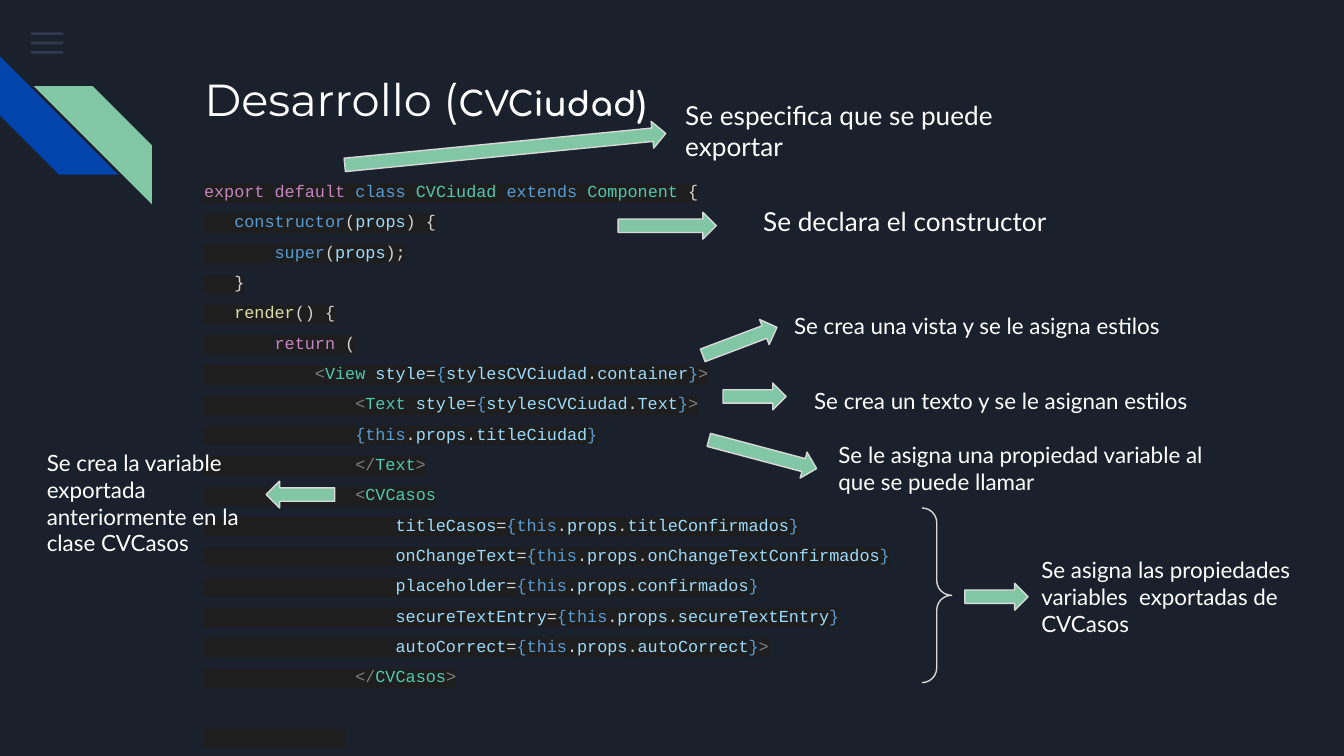
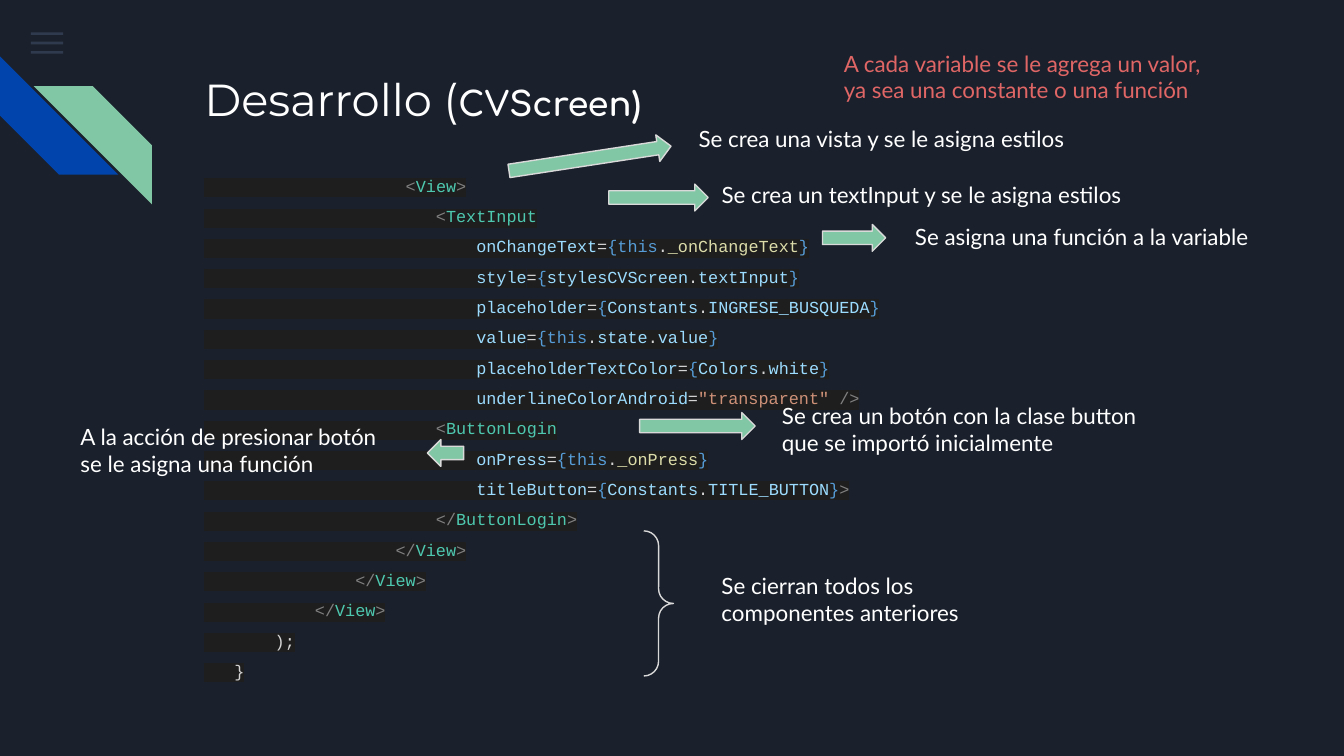
from itertools import groupby

from lxml import etree
from pptx import Presentation
from pptx import util as u
from pptx.dml.color import RGBColor
from pptx.enum import shapes, text
from pptx.oxml import ns

NIGHT = RGBColor(0x1B, 0x21, 0x2C)
SLATE = RGBColor(0x55, 0x68, 0x8B)
BLUE = RGBColor(0x01, 0x45, 0xAC)
GREEN = RGBColor(0x82, 0xC7, 0xA5)
SILVER = RGBColor(0xD9, 0xD9, 0xD9)
WHITE = RGBColor(0xFF, 0xFF, 0xFF)
CORAL = RGBColor(0xE0, 0x66, 0x66)
CODE_PLAIN = RGBColor(0xD4, 0xD4, 0xD4)
CODE_FLOW = RGBColor(0xC5, 0x86, 0xC0)
CODE_KEYWORD = RGBColor(0x56, 0x9C, 0xD6)
CODE_CLASS = RGBColor(0x4E, 0xC9, 0xB0)
CODE_NAME = RGBColor(0x9C, 0xDC, 0xFE)
CODE_FUNCTION = RGBColor(0xDC, 0xDC, 0xAA)
CODE_STRING = RGBColor(0xCE, 0x91, 0x78)
CODE_ANGLE = RGBColor(0x80, 0x80, 0x80)
CODE_BACK = RGBColor(0x1E, 0x1E, 0x1E)

WORD_COLORS = {
    word: color
    for color, words in (
        (CODE_FLOW, "export default return"),
        (CODE_KEYWORD, "class extends constructor super this"),
        (CODE_CLASS, "CVCiudad Component"),
        (CODE_FUNCTION, "render _onChangeText _onPress"),
        (CODE_STRING, '"transparent"'),
    )
    for word in words.split()
}

CELL = u.Inches(0.1)
FRAME_FORMAT = {
    "word_wrap": True,
    "auto_size": text.MSO_AUTO_SIZE.NONE,
    "vertical_anchor": text.MSO_ANCHOR.TOP,
    "margin_left": CELL,
    "margin_right": CELL,
    "margin_top": CELL,
    "margin_bottom": CELL,
}

CIUDAD_CODE = """\
export default class CVCiudad extends Component {
   constructor(props) {
       super(props);
   }
   render() {
       return (
           <View style={stylesCVCiudad.container}>
               <Text style={stylesCVCiudad.Text}>
               {this.props.titleCiudad}
               </Text>
               <CVCasos
                   titleCasos={this.props.titleConfirmados}
                   onChangeText={this.props.onChangeTextConfirmados}
                   placeholder={this.props.confirmados}
                   secureTextEntry={this.props.secureTextEntry}
                   autoCorrect={this.props.autoCorrect}>
               </CVCasos>"""

SCREEN_CODE = """\
                    <View>
                       <TextInput
                           onChangeText={this._onChangeText}
                           style={stylesCVScreen.textInput}
                           placeholder={Constants.INGRESE_BUSQUEDA}
                           value={this.state.value}
                           placeholderTextColor={Colors.white}
                           underlineColorAndroid="transparent" />
                       <ButtonLogin
                           onPress={this._onPress}
                           titleButton={Constants.TITLE_BUTTON}>
                       </ButtonLogin>
                   </View>
               </View>
           </View>
       );
   }"""

SLIDES = [
    {
        "topic": "CVCiudad)",
        "title_rows": 10,
        "code": CIUDAD_CODE,
        "code_area": (14.2, 11.7, 57.6, 42),
        "closing_indent": 14,
        "arrows": [
            (46, 15.8, 7.3, 0),
            (52.1, 24.4, 5.9, 339.3),
            (53.8, 28.5, 4.7, 0),
            (52.6, 32.8, 8.3, 14.9),
            (19.8, 35.8, 5.1, 180),
            (71.8, 43.4, 4.7, 0),
            (25.6, 10.1, 24, 354.4),
        ],
        "brace": (68.6, 37.8, 2.2, 13),
        "remarks": [
            ("Se declara el constructor", (55.8, 14.3, 25.9, 6.5), 14, WHITE),
            ("Se crea una vista y se le asigna estilos", (58.1, 22.2, 30.3, 4.2), 12, WHITE),
            ("Se crea un texto y se le asignan estilos", (59.6, 27.8, 30.3, 3.9), 12, WHITE),
            ("Se le asigna una propiedad variable al que se puede llamar",
             (61.4, 31.8, 30.3, 6.5), 12, WHITE),
            ("Se crea la variable exportada anteriormente en la clase CVCasos",
             (2.5, 32.4, 18.6, 8.8), 12, WHITE),
            ("Se asigna las propiedades variables  exportadas de CVCasos",
             (76.5, 40.4, 23, 7.7), 12, WHITE),
            ("Se especifica que se puede exportar", (50, 6.4, 25.9, 6.5), 14, WHITE),
        ],
    },
    {
        "topic": "CVScreen)",
        "title_rows": 6.5,
        "code": SCREEN_CODE,
        "code_area": (14.2, 11.3, 54.1, 40.9),
        "closing_indent": 0,
        "arrows": [
            (37.8, 10.8, 12.2, 351.3),
            (61.2, 16.7, 4.7, 0),
            (31.8, 32.7, 2.7, 180),
            (45.3, 13.7, 7.4, 0),
            (47.6, 30.7, 8.6, 0),
        ],
        "brace": (47.9, 39.5, 2.2, 10.8),
        "remarks": [
            ("Se crea una vista y se le asigna estilos", (51, 8.3, 30.3, 4.2), 12, WHITE),
            ("Se asigna una función a la variable", (67.1, 15.6, 30.3, 4.2), 12, WHITE),
            ("Se cierran todos los componentes anteriores",
             (52.7, 41.6, 24, 6.5), 12, WHITE),
            ("Se crea un botón con la clase button que se importó inicialmente",
             (57.2, 28.9, 30.3, 5.6), 12, WHITE),
            ("A la acción de presionar botón se le asigna una función",
             (5, 30.5, 25.2, 6.5), 12, WHITE),
            ("Se crea un textInput y se le asigna estilos",
             (52.7, 12.5, 36.9, 4.2), 12, WHITE),
            ("A cada variable se le agrega un valor, ya sea una constante o una función",
             (61.8, 2.7, 30.3, 6.5), 12, CORAL),
        ],
    },
]


def add_figure(slide, kind, area, fill=None, line=None, rotation=0):
    figure = slide.shapes.add_shape(kind, *(int(CELL * n) for n in area))
    figure.shadow.inherit = False
    figure.rotation = rotation
    if fill is None:
        figure.fill.background()
    else:
        figure.fill.solid()
        figure.fill.fore_color.rgb = fill
    if line is None:
        figure.line.fill.background()
    else:
        figure.line.color.rgb = line
        figure.line.width = u.Pt(0.75)
    return figure


def add_run(paragraph, words, font, size, color, bold=False):
    run = paragraph.add_run()
    run.text = words
    for name, value in {"name": font, "size": u.Pt(size), "bold": bold}.items():
        setattr(run.font, name, value)
    run.font.color.rgb = color


deck = Presentation()
deck.slide_width = CELL * 100
deck.slide_height = u.Inches(5.625)
layout = deck.slide_layouts[5]
layout.background.fill.solid()
layout.background.fill.fore_color.rgb = NIGHT
pages = [deck.slides.add_slide(layout) for content in SLIDES]

STRIPE = shapes.MSO_SHAPE.DIAGONAL_STRIPE
emblem = []
for row in range(3):
    menu_bar = add_figure(pages[0], shapes.MSO_SHAPE.RECTANGLE,
                          (2.3, 2.4 + 0.7 * row, 2.4, 0.2), SLATE)
    tint = menu_bar.element.find(".//" + ns.qn("a:srgbClr"))
    etree.SubElement(tint, ns.qn("a:alpha"), val="36000")
    emblem.append(menu_bar)
emblem.append(add_figure(pages[0], STRIPE, (0, 4.2, 8.8, 8.8), BLUE, rotation=270))
green_stripe = add_figure(pages[0], STRIPE, (2.5, 6.4, 8.8, 8.8), GREEN)
green_stripe.element.find(".//" + ns.qn("a:xfrm")).set("flipH", "1")
emblem.append(green_stripe)
for number, part in enumerate(emblem, 50):
    part.element.find(".//" + ns.qn("p:cNvPr")).set("id", str(number))
    layout.shapes.element.append(part.element)

for page, content in zip(pages, SLIDES):
    title = page.shapes.title
    title_area = (14.2, 4.3, 77, content["title_rows"])
    for name, cells in zip(("left", "top", "width", "height"), title_area):
        setattr(title, name, int(CELL * cells))
    for name, value in FRAME_FORMAT.items():
        setattr(title.text_frame, name, value)
    heading = title.text_frame.paragraphs[0]
    heading.alignment = text.PP_ALIGN.LEFT
    add_run(heading, "Desarrollo (", "Montserrat", 24, WHITE)
    add_run(heading, content["topic"], "Comfortaa", 18, WHITE, True)

    editor = page.shapes.add_textbox(*(int(CELL * n) for n in content["code_area"]))
    listing = editor.text_frame
    for name, value in FRAME_FORMAT.items():
        setattr(listing, name, value)
    lines = content["code"].split("\n")
    if content["closing_indent"]:
        lines.append(" " * content["closing_indent"])
    for index, line in enumerate(lines):
        code_line = listing.add_paragraph() if index else listing.paragraphs[0]
        code_line.line_spacing = 1.5
        if not line.strip():
            code_line.space_before = u.Pt(16.2)
        previous = ""
        for kind, letters in groupby(line, lambda c: "word" if c.isalnum() or c in '_"'
                                     else "angle" if c in "<>/"
                                     else "brace" if c in "{}" else "plain"):
            token = "".join(letters)
            color = CODE_PLAIN
            if kind == "word" and previous.startswith("<"):
                color = CODE_CLASS
            elif kind == "word":
                color = WORD_COLORS.get(token, CODE_NAME)
            elif kind == "angle":
                color = CODE_ANGLE
            elif kind == "brace" and "." in line:
                color = CODE_KEYWORD
            add_run(code_line, token, "Courier New", 9, color)
            previous = token
    for latin in list(editor.element.iter(ns.qn("a:latin"))):
        marker = etree.Element(ns.qn("a:highlight"))
        etree.SubElement(marker, ns.qn("a:srgbClr"), val=str(CODE_BACK))
        latin.addprevious(marker)

    for left, top, width, rotation in content["arrows"]:
        add_figure(page, shapes.MSO_SHAPE.RIGHT_ARROW, (left, top, width, 2),
                   GREEN, SILVER, rotation)
    brace = add_figure(page, shapes.MSO_SHAPE.RIGHT_BRACE, content["brace"], line=SILVER)
    brace.adjustments[0] = 0.5

    for words, area, size, color in content["remarks"]:
        remark = page.shapes.add_textbox(*(int(CELL * n) for n in area)).text_frame
        for name, value in FRAME_FORMAT.items():
            setattr(remark, name, value)
        add_run(remark.paragraphs[0], words, "Lato", size, color)

deck.save("out.pptx")
